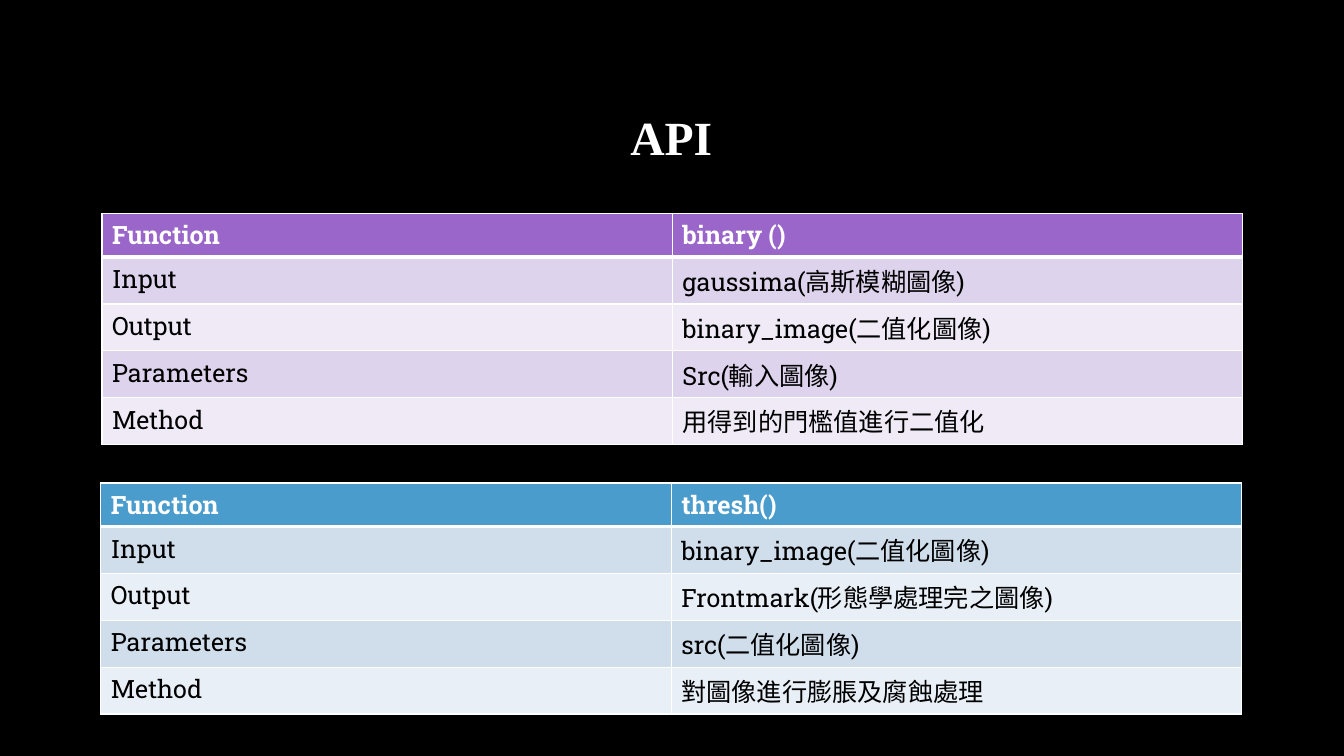
"""Build the API slide: a title above two function description tables."""
from lxml import etree
from pptx import Presentation
from pptx.dml.color import RGBColor
from pptx.enum.text import MSO_ANCHOR, PP_ALIGN
from pptx.oxml.ns import qn
from pptx.util import Cm, Pt

CENTER = PP_ALIGN.CENTER
MIDDLE = MSO_ANCHOR.MIDDLE

TITLE = "API"
LABELS = ["Function", "Input", "Output", "Parameters", "Method"]
TABLES = [
    {
        "left": 2.57, "top": 5.38,
        "fills": ("9A66CA", "DED3EC", "EFEAF6"),
        "values": ["binary ()", "gaussima(高斯模糊圖像)", "binary_image(二值化圖像)",
                   "Src(輸入圖像)", "用得到的門檻值進行二值化"],
    },
    {
        "left": 2.54, "top": 12.17,
        "fills": ("4A9CCC", "D0DEEC", "E9EFF6"),
        "values": ["thresh()", "binary_image(二值化圖像)", "Frontmark(形態學處理完之圖像)",
                   "src(二值化圖像)", "對圖像進行膨脹及腐蝕處理"],
    },
]
WIDTH = 28.75
HEADER_HEIGHT = 1.1
ROW_HEIGHT = 1.18
THIN, THICK = 1, 3


def color(value):
    return RGBColor.from_string(value)


def add_run(paragraph, text, font, size, value, bold):
    run = paragraph.add_run()
    run.text = text
    run.font.name = font
    run.font.size = Pt(size)
    run.font.bold = bold
    run.font.color.rgb = color(value)


def set_borders(cell, top, bottom):
    properties = cell._tc.get_or_add_tcPr()
    for side, points in (("L", THIN), ("R", THIN), ("T", top), ("B", bottom)):
        line = etree.SubElement(properties, qn("a:ln" + side), w=str(Pt(points)))
        fill = etree.SubElement(line, qn("a:solidFill"))
        etree.SubElement(fill, qn("a:srgbClr"), val="FFFFFF")


def add_function_table(slide, content):
    rows = list(zip(LABELS, content["values"]))
    height = HEADER_HEIGHT + ROW_HEIGHT * (len(rows) - 1)
    table = slide.shapes.add_table(
        len(rows), 2, Cm(content["left"]), Cm(content["top"]), Cm(WIDTH), Cm(height)
    ).table
    header_fill, *bands = content["fills"]
    for row, texts in enumerate(rows):
        is_header = row == 0
        table.rows[row].height = Cm(HEADER_HEIGHT if is_header else ROW_HEIGHT)
        for column, text in enumerate(texts):
            cell = table.cell(row, column)
            set_borders(cell, THICK if row == 1 else THIN, THICK if is_header else THIN)
            cell.fill.solid()
            cell.fill.fore_color.rgb = color(header_fill if is_header else bands[(row - 1) % 2])
            add_run(cell.text_frame.paragraphs[0], text, "Roboto Slab", 18,
                    "FFFFFF" if is_header else "000000", is_header)


def main():
    presentation = Presentation()
    presentation.slide_width = Cm(33.87)
    presentation.slide_height = Cm(19.05)
    slide = presentation.slides.add_slide(presentation.slide_layouts[5])
    slide.background.fill.solid()
    slide.background.fill.fore_color.rgb = color("000000")

    title = slide.shapes.title
    title.left, title.top = Cm(2.54), Cm(1.7)
    title.width, title.height = Cm(WIDTH), Cm(3.68)
    title.text_frame.vertical_anchor = MIDDLE
    paragraph = title.text_frame.paragraphs[0]
    paragraph.alignment = CENTER
    paragraph.line_spacing = 0.9
    add_run(paragraph, TITLE, "Times New Roman", 34, "FFFFFF", True)

    for content in TABLES:
        add_function_table(slide, content)
    presentation.save("out.pptx")


if __name__ == "__main__":
    main()
